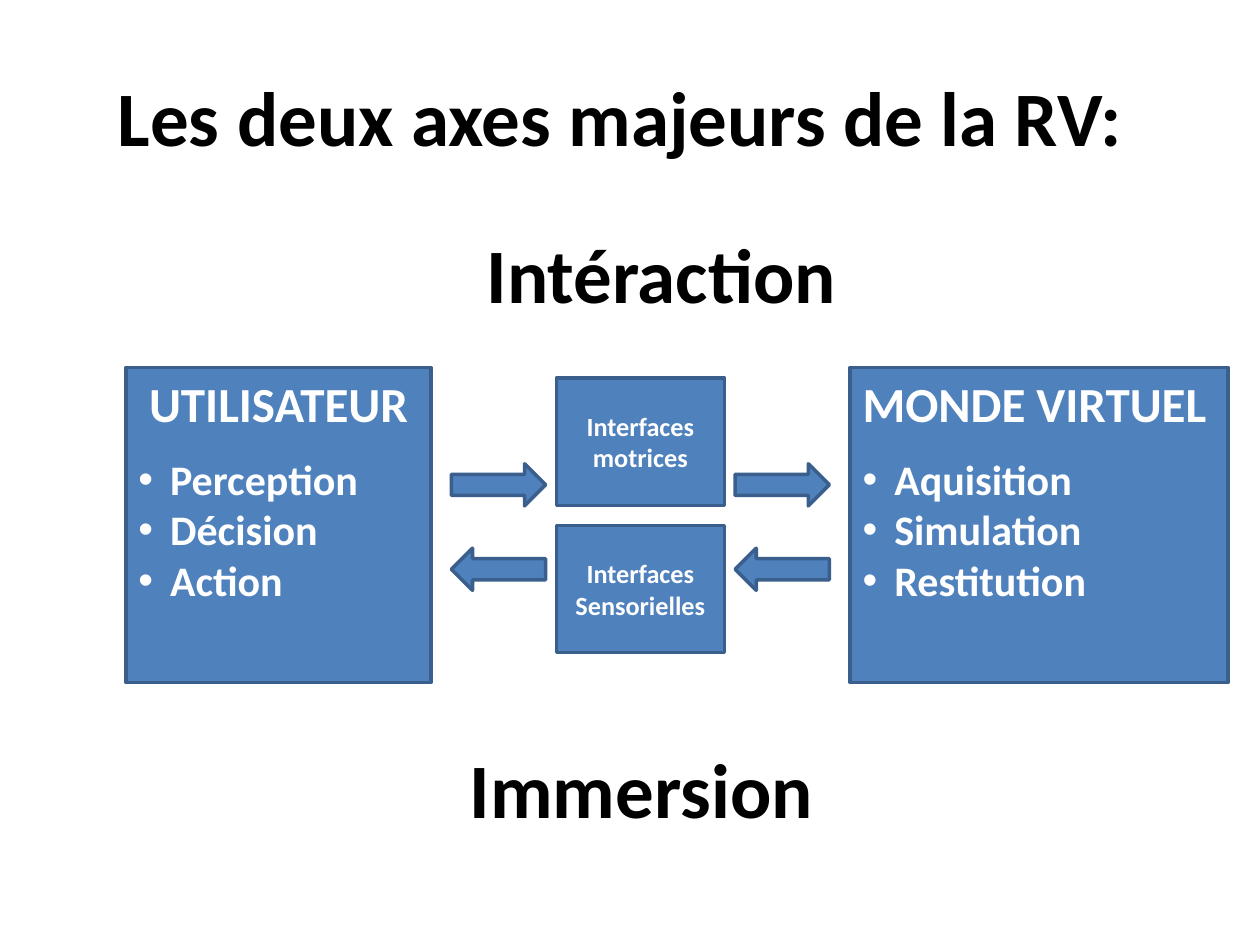
from dataclasses import dataclass

from lxml.etree import SubElement
from pptx import Presentation
from pptx.dml.color import RGBColor
from pptx.enum.shapes import MSO_SHAPE
from pptx.enum.text import MSO_ANCHOR, PP_ALIGN
from pptx.oxml.ns import qn
from pptx.util import Cm, Pt


@dataclass(frozen=True)
class Theme:
    font: str = "Calibri"
    dark: RGBColor = RGBColor(0x00, 0x00, 0x00)
    light: RGBColor = RGBColor(0xFF, 0xFF, 0xFF)
    fill: RGBColor = RGBColor(0x4F, 0x81, 0xBD)
    outline: RGBColor = RGBColor(0x3A, 0x5F, 0x8C)
    axis: int = 44
    heading: int = 28
    item: int = 24
    interface: int = 15


THEME = Theme()
TITLE_LAYOUT = 5


@dataclass(frozen=True)
class Box:
    """A region of the slide, in centimetres."""
    left: float
    top: float
    width: float
    height: float

    def inner(self, left, top, width, height):
        return Box(self.left + left, self.top + top, width, height)

    def lengths(self):
        return [Cm(n) for n in (self.left, self.top, self.width, self.height)]


def write(paragraph, text, size, color, align=PP_ALIGN.LEFT):
    paragraph.text = text
    paragraph.alignment = align
    font = paragraph.runs[0].font
    font.color.rgb = color
    for key, value in {"name": THEME.font, "size": Pt(size), "bold": True}.items():
        setattr(font, key, value)


def add_bullet(paragraph):
    properties = paragraph._p.get_or_add_pPr()
    properties.set("marL", str(Cm(0.64)))
    properties.set("indent", str(-Cm(0.64)))
    SubElement(properties, qn("a:buFont"), typeface="Arial")
    SubElement(properties, qn("a:buChar"), char="•")


def add_block(slide, box, preset=MSO_SHAPE.RECTANGLE):
    block = slide.shapes.add_shape(preset, *box.lengths())
    block.shadow.inherit = False
    block.fill.solid()
    block.fill.fore_color.rgb = THEME.fill
    block.line.color.rgb = THEME.outline
    block.line.width = Pt(2)
    return block


def add_title(slide, box, text):
    title = slide.shapes.title
    for key, value in zip(("left", "top", "width", "height"), box.lengths()):
        setattr(title, key, value)
    title.text_frame.vertical_anchor = MSO_ANCHOR.MIDDLE
    write(title.text_frame.paragraphs[0], text, THEME.axis, THEME.dark)


def add_axis(slide, box, text, align):
    frame = slide.shapes.add_textbox(*box.lengths()).text_frame
    frame.word_wrap = True
    write(frame.paragraphs[0], text, THEME.axis, THEME.dark, align)


def add_actor(slide, box, heading, items, align):
    """Panel with a heading above a bulleted list."""
    frame = add_block(slide, box).text_frame
    frame.vertical_anchor = MSO_ANCHOR.TOP
    write(frame.paragraphs[0], heading, THEME.heading, THEME.light, align)
    for index, item in enumerate(items):
        paragraph = frame.add_paragraph()
        write(paragraph, item, THEME.item, THEME.light)
        if index == 0:
            paragraph.space_before = Pt(12)
        add_bullet(paragraph)


def add_exchange(slide, box, interfaces):
    """Two stacked interfaces, with arrows going right above and left below."""
    arrow_width, arrow_height = 1.9, 0.85
    width, height = 3.39, 2.57
    arrow_lefts = (0, box.width - arrow_width)
    rows = zip(interfaces, (0, box.height - height), (1.73, 3.43), (0, 180))
    for text, top, arrow_top, rotation in rows:
        place = box.inner((box.width - width) / 2, top, width, height)
        frame = add_block(slide, place).text_frame
        frame.vertical_anchor = MSO_ANCHOR.MIDDLE
        write(frame.paragraphs[0], text, THEME.interface, THEME.light, PP_ALIGN.CENTER)
        for left in arrow_lefts:
            place = box.inner(left, arrow_top, arrow_width, arrow_height)
            add_block(slide, place, MSO_SHAPE.RIGHT_ARROW).rotation = rotation


def main():
    presentation = Presentation()
    presentation.slide_width, presentation.slide_height = Cm(25.4), Cm(19.05)
    slide = presentation.slides.add_slide(presentation.slide_layouts[TITLE_LAYOUT])

    add_title(slide, Box(2.12, 0.74, 22.43, 3.18), "Les deux axes majeurs de la RV:")
    add_axis(slide, Box(2.12, 4.45, 22.43, 2.13), "Intéraction", PP_ALIGN.CENTER)
    add_actor(slide, Box(2.54, 7.41, 6.15, 6.35), "UTILISATEUR",
              ("Perception", "Décision", "Action"), PP_ALIGN.CENTER)
    add_actor(slide, Box(17.14, 7.41, 7.62, 6.35), "MONDE VIRTUEL",
              ("Aquisition", "Simulation", "Restitution"), PP_ALIGN.LEFT)
    add_exchange(slide, Box(9.1, 7.62, 7.62, 5.54),
                 ("Interfaces motrices", "Interfaces Sensorielles"))
    add_axis(slide, Box(9.22, 14.82, 8.05, 2.13), "Immersion", PP_ALIGN.LEFT)

    presentation.save("out.pptx")


if __name__ == "__main__":
    main()
